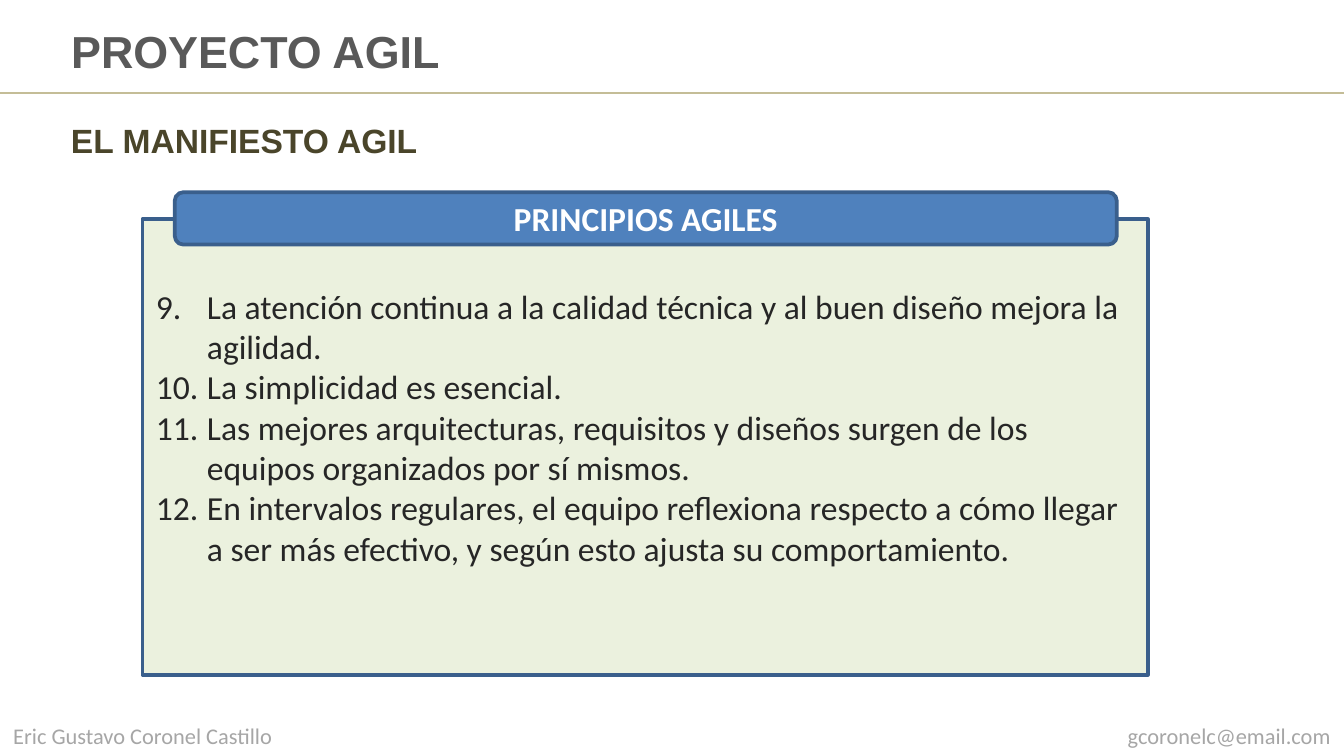
from lxml.etree import SubElement
from pptx import Presentation
from pptx.dml.color import RGBColor
from pptx.enum.shapes import MSO_CONNECTOR as Connector, MSO_SHAPE as Shape
from pptx.enum.text import MSO_ANCHOR as Anchor, MSO_AUTO_SIZE as AutoSize, PP_ALIGN as Align
from pptx.oxml.ns import qn
from pptx.util import Inches, Pt

TITLE = "PROYECTO AGIL"
SUBTITLE = "EL MANIFIESTO AGIL"
BANNER = "PRINCIPIOS AGILES"
FIRST_NUMBER = 9
PRINCIPLES = [
    "La atención continua a la calidad técnica y al buen diseño mejora la agilidad.",
    "La simplicidad es esencial.",
    "Las mejores arquitecturas, requisitos y diseños surgen de los equipos organizados por sí mismos.",
    "En intervalos regulares, el equipo reflexiona respecto a cómo llegar a ser más efectivo, "
    "y según esto ajusta su comportamiento.",
]
FOOTERS = [("Eric Gustavo Coronel Castillo", Align.LEFT), ("gcoronelc@email.com", Align.RIGHT)]

COLORS = {
    "rule": "C4BD97", "footer": "A6A6A6", "title": "595959", "subtitle": "4A452A",
    "panel": "EBF1DE", "border": "3A5F8C", "body": "262626", "banner": "4F81BD", "white": "FFFFFF",
}
FONTS = {
    "footer": {"name": "Calibri", "size": Pt(12), "bold": False},
    "title": {"name": "Arial", "size": Pt(24), "bold": True},
    "subtitle": {"name": "Arial", "size": Pt(18), "bold": True},
    "body": {"name": "Calibri", "size": Pt(18), "bold": False},
    "white": {"name": "Calibri", "size": Pt(18), "bold": True},
}
WIDTH = 10
HEIGHT = WIDTH * 9 / 16
FOOTER_WIDTH, FOOTER_HEIGHT = 3.23, 0.3
INDENT = 0.38


def color(name):
    return RGBColor.from_string(COLORS[name])


def set_values(target, values):
    for name, value in values.items():
        setattr(target, name, value)


def place(shape, left, top, width, height):
    set_values(shape, {"left": Inches(left), "top": Inches(top),
                       "width": Inches(width), "height": Inches(height)})


def write(shape, lines, style, align=Align.LEFT, anchor=Anchor.TOP):
    frame = shape.text_frame
    frame.text = "\n".join(lines)
    set_values(frame, {"word_wrap": True, "auto_size": AutoSize.NONE, "vertical_anchor": anchor})
    for paragraph in frame.paragraphs:
        set_values(paragraph, {"alignment": align, "space_before": Pt(0), "line_spacing": 1.0})
        for run in paragraph.runs:
            set_values(run.font, FONTS[style])
            run.font.color.rgb = color(style)


def paint(shape, fill):
    shape.fill.solid()
    shape.fill.fore_color.rgb = color(fill)
    shape.line.color.rgb = color("border")
    shape.line.width = Pt(2)
    shape.shadow.inherit = False


def number(paragraph, start):
    properties = paragraph._p.get_or_add_pPr()
    properties.set("marL", str(Inches(INDENT)))
    properties.set("indent", str(-Inches(INDENT)))
    SubElement(properties, qn("a:buFont"), typeface="+mj-lt")
    SubElement(properties, qn("a:buAutoNum"), type="arabicPeriod", startAt=str(start))


def add_text(slide, box, *text):
    shape = slide.shapes.add_textbox(*map(Inches, box))
    write(shape, *text)


def main():
    presentation = Presentation()
    presentation.slide_width, presentation.slide_height = Inches(WIDTH), Inches(HEIGHT)
    slide = presentation.slides.add_slide(presentation.slide_layouts[1])
    title, panel = slide.placeholders

    place(title, 0.43, 0.14, 9.13, 0.47)
    write(title, [TITLE], "title", anchor=Anchor.MIDDLE)

    rule = slide.shapes.add_connector(
        Connector.STRAIGHT, Inches(-0.01), Inches(0.69), Inches(WIDTH), Inches(0.69))
    rule.line.color.rgb = color("rule")
    rule.line.width = Pt(1)
    SubElement(rule._element.spPr, qn("a:effectLst"))

    add_text(slide, (0.43, 0.84, 7.87, 0.4), [SUBTITLE], "subtitle")
    for column, (text, align) in enumerate(FOOTERS):
        left = column * (WIDTH - FOOTER_WIDTH)
        add_text(slide, (left, HEIGHT - FOOTER_HEIGHT, FOOTER_WIDTH, FOOTER_HEIGHT),
                 [text], "footer", align)

    place(panel, 1.06, 1.63, 7.48, 3.39)
    paint(panel, "panel")
    write(panel, PRINCIPLES, "body", anchor=Anchor.MIDDLE)
    panel.text_frame.margin_bottom = Inches(0.35)
    for paragraph in panel.text_frame.paragraphs:
        number(paragraph, FIRST_NUMBER)

    banner = slide.shapes.add_shape(Shape.ROUNDED_RECTANGLE, 0, 0, 0, 0)
    place(banner, 1.3, 1.43, 7.01, 0.39)
    paint(banner, "banner")
    write(banner, [BANNER], "white", Align.CENTER, Anchor.MIDDLE)

    presentation.save("out.pptx")


if __name__ == "__main__":
    main()
